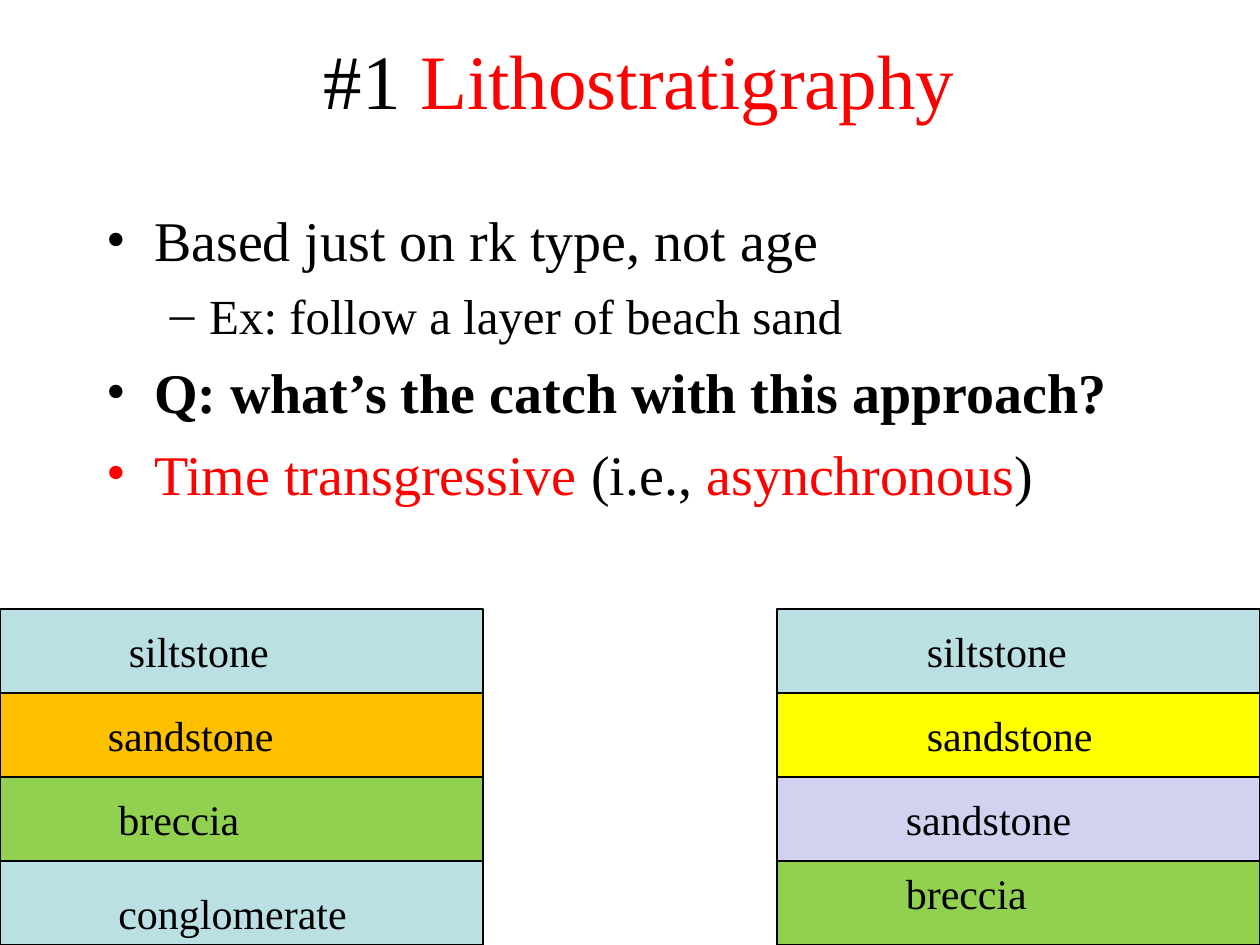
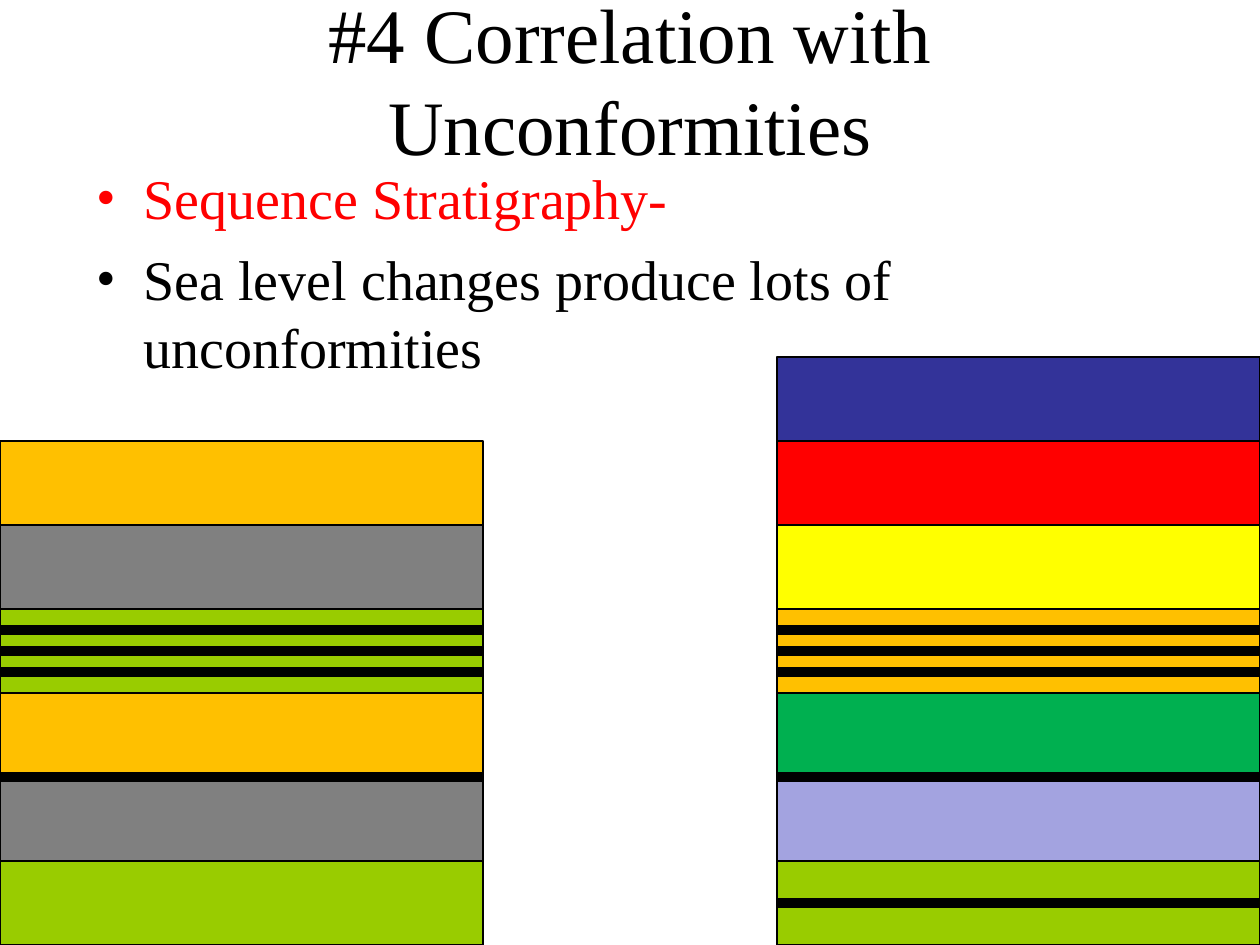
from lxml import etree
from pptx import Presentation
from pptx.dml.color import RGBColor
from pptx.enum.shapes import MSO_CONNECTOR, MSO_SHAPE
from pptx.enum.text import MSO_ANCHOR, PP_ALIGN
from pptx.oxml.ns import qn
from pptx.util import Pt

RECT = MSO_SHAPE.RECTANGLE
LINE = MSO_CONNECTOR.STRAIGHT
CENTER = PP_ALIGN.CENTER
MIDDLE = MSO_ANCHOR.MIDDLE

FONT = "Times New Roman"
BLACK, RED, WHITE = "000000", "FF0000", "FFFFFF"
ORANGE, YELLOW, GRAY = "FFC000", "FFFF00", "808080"
LIME, GREEN, JADE = "99CC00", "92D050", "00B050"
ICE, MIST, LILAC, NAVY = "BBE0E3", "D1D1F0", "A3A3E0", "333399"

WIDE, HIGH = 720, 540
BAND_W, BAND_H = 276, 48
WEST, EAST = 0, WIDE - BAND_W

# Bullet sign, left margin, hanging indent, font size, space before
LEVELS = [("•", 27, 27, 32, 8), ("–", 58.5, 22.5, 28, 7)]
# Label widths, with a little room to spare
WIDTHS = {"siltstone": 98, "sandstone": 112, "breccia": 87, "conglomerate": 148}


def color(code):
    return RGBColor.from_string(code)


def add_box(slide, left, top, width, height):
    box = slide.shapes.add_textbox(Pt(left), Pt(top), Pt(width), Pt(height))
    box.text_frame.word_wrap = True
    return box.text_frame


def write(para, runs, size, bold=False):
    """Fill a paragraph with (text, colour) runs."""
    font = para.font
    font.name, font.size, font.bold = FONT, Pt(size), bold
    shades = {shade for _, shade in runs}
    if len(shades) == 1:
        font.color.rgb = color(runs[0][1])
    for text, shade in runs:
        run = para.add_run()
        run.text = text
        if len(shades) > 1:
            run.font.color.rgb = color(shade)


def add_title(slide, runs, left=54):
    frame = add_box(slide, left, 0, 612, 90)
    frame.vertical_anchor = MIDDLE
    para = frame.paragraphs[0]
    para.alignment = CENTER
    write(para, runs, 44)


def set_bullet(para, sign, margin, hang, shade):
    props = para._p.get_or_add_pPr()
    props.set("marL", str(Pt(margin)))
    props.set("indent", str(-Pt(hang)))
    tint = etree.SubElement(props, qn("a:buClr"))
    etree.SubElement(tint, qn("a:srgbClr"), val=shade)
    etree.SubElement(props, qn("a:buFont"), typeface=FONT)
    etree.SubElement(props, qn("a:buChar"), char=sign)


def add_points(slide, left, top, points):
    """List points given as (level, bold, runs)."""
    frame = add_box(slide, left, top, 612, 324)
    for i, (level, bold, runs) in enumerate(points):
        para = frame.add_paragraph() if i else frame.paragraphs[0]
        sign, margin, hang, size, gap = LEVELS[level]
        para.level = level
        set_bullet(para, sign, margin, hang, runs[0][1])
        para.space_before = Pt(gap if i else 0)
        write(para, runs, size, bold)


def add_column(slide, left, fills):
    """Stack bands, listed from the top, on the foot of the slide."""
    top = HIGH - BAND_H * len(fills)
    bands = []
    for i, fill in enumerate(fills):
        band = slide.shapes.add_shape(
            RECT, Pt(left), Pt(top + i * BAND_H), Pt(BAND_W), Pt(BAND_H))
        band.shadow.inherit = False
        band.fill.solid()
        band.fill.fore_color.rgb = color(fill)
        band.line.color.rgb = color(BLACK)
        band.line.width = Pt(0.75)
        bands.append(band)
    return bands


def add_labels(slide, left, labels):
    """Name the bands with (text, x, y), each measured from its band."""
    top = HIGH - BAND_H * len(labels)
    for i, (text, x, y) in enumerate(labels):
        frame = add_box(slide, left + x, top + i * BAND_H + y, WIDTHS[text], 36)
        write(frame.paragraphs[0], [(text, BLACK)], 24)


def add_breaks(slide, left, bands, rises):
    """Draw unconformities at heights above the foot of the column."""
    for rise in rises:
        y = Pt(HIGH - rise)
        rule = slide.shapes.add_connector(LINE, Pt(left), y, Pt(left + BAND_W), y)
        rule.line.color.rgb = color(BLACK)
        rule.line.width = Pt(6)
        etree.SubElement(rule._element.spPr, qn("a:effectLst"))
        level, rest = divmod(rise, BAND_H)
        if rest * 2 == BAND_H:
            band = bands[-1 - level]
            rule.begin_connect(band, 1)
            rule.end_connect(band, 3)


def new_slide(deck):
    slide = deck.slides.add_slide(deck.slide_layouts[6])
    slide.background.fill.solid()
    slide.background.fill.fore_color.rgb = color(WHITE)
    return slide


def rock_slide(deck):
    slide = new_slide(deck)
    add_title(slide, [("#1 ", BLACK), ("Lithostratigraphy", RED)], left=59.5)
    add_points(slide, 54, 114, [
        (0, False, [("Based just on rk type, not age", BLACK)]),
        (1, False, [("Ex: follow a layer of beach sand", BLACK)]),
        (0, True, [("Q: what’s the catch with this approach?", BLACK)]),
        (0, False, [("Time transgressive ", RED), ("(i.e., ", BLACK),
                    ("asynchronous", RED), (")", BLACK)]),
    ])
    # Rock columns
    add_column(slide, WEST, [ICE, ORANGE, GREEN, ICE])
    add_column(slide, EAST, [ICE, YELLOW, MIST, GREEN])
    add_labels(slide, WEST, [("siltstone", 66.5, 6), ("sandstone", 54.5, 6),
                             ("breccia", 60.5, 6), ("conglomerate", 60.5, 11.5)])
    add_labels(slide, EAST, [("siltstone", 78.5, 6), ("sandstone", 78.5, 6),
                             ("sandstone", 66.5, 6), ("breccia", 66.5, 0)])


def gap_slide(deck):
    slide = new_slide(deck)
    add_title(slide, [("#4 Correlation with Unconformities", BLACK)])
    add_points(slide, 48, 90, [
        (0, False, [("Sequence Stratigraphy-", RED)]),
        (0, False, [("Sea level changes produce lots of unconformities", BLACK)]),
    ])
    # Columns cut by unconformities
    shared = [180, 168, 156, 96]
    west = add_column(slide, WEST, [ORANGE, GRAY, LIME] * 2)
    add_breaks(slide, WEST, west, shared)
    east = add_column(slide, EAST, [NAVY, RED, YELLOW, ORANGE, JADE, LILAC, LIME])
    add_breaks(slide, EAST, east, shared + [24])


def main():
    deck = Presentation()
    deck.slide_width, deck.slide_height = Pt(WIDE), Pt(HIGH)
    rock_slide(deck)
    gap_slide(deck)
    deck.save("out.pptx")


if __name__ == "__main__":
    main()
